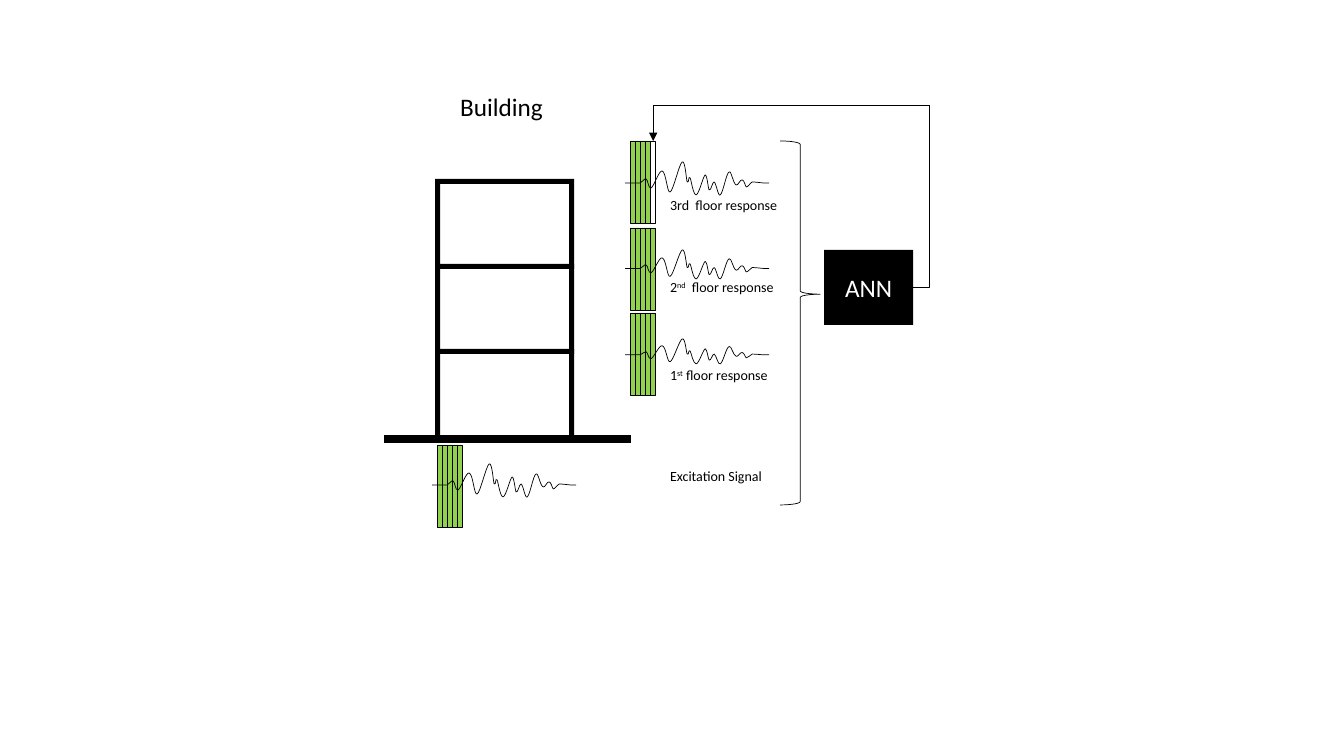
from dataclasses import dataclass
from itertools import product

from lxml.etree import SubElement
from pptx import Presentation
from pptx.dml.color import RGBColor
from pptx.enum.dml import MSO_LINE_DASH_STYLE as Dash
from pptx.enum.shapes import MSO_CONNECTOR as Connector, MSO_SHAPE as Preset
from pptx.enum.text import MSO_ANCHOR as Anchor, MSO_AUTO_SIZE as AutoSize, PP_ALIGN as Align
from pptx.oxml.ns import qn
from pptx.util import Inches, Pt

BLACK = RGBColor(0x00, 0x00, 0x00)
WHITE = RGBColor(0xFF, 0xFF, 0xFF)
GREEN = RGBColor(0x92, 0xD0, 0x50)
FONT = "Calibri"
EMU_PER_PIXEL = 914400 / 100.8

CELL_COUNT, CELL_WIDTH, CELL_HEIGHT = 5, 5, 82
FRAME_LEFT, FRAME_TOP, FRAME_WIDTH = 435, 179, 139
STOREY_HEIGHT, STOREY_COUNT, MEMBER = 85, 3, 5

# Start point, then three points for each curve, then the end of the tail
WAVE_HEIGHT = 33
WAVE = [
    (0, 21), (5, 21), (11, 21), (15, 21), (18, 20), (19, 16), (21, 17),
    (23, 18), (23, 27), (26, 26), (29, 24), (34, 8), (37, 9),
    (41, 10), (42, 32), (45, 30), (48, 29), (54, 2), (57, 0),
    (60, -2), (61, 17), (62, 20), (64, 22), (63, 13), (65, 16),
    (66, 18), (68, 33), (71, 33), (74, 32), (78, 14), (80, 13),
    (82, 13), (83, 27), (84, 28), (86, 29), (87, 20), (89, 20),
    (91, 21), (93, 35), (95, 33), (98, 31), (101, 11), (104, 10),
    (106, 8), (108, 22), (111, 23), (113, 24), (115, 17), (117, 18),
    (119, 18), (120, 24), (121, 25), (123, 25), (125, 21), (127, 20),
    (130, 20), (138, 21), (138, 21), (144, 21),
]


@dataclass
class Signal:
    strip_left: int
    strip_top: int
    wave_top: int
    wave_height: int
    label: str  # text between carets is superscript
    label_top: int
    filled_cells: int = CELL_COUNT


SIGNALS = [
    Signal(630, 141, 162, 33, "3rd  floor response", 192, filled_cells=4),
    Signal(630, 228, 250, 29, "2^nd^  floor response", 274),
    Signal(630, 313, 339, 25, "1^st^ floor response", 362),
    Signal(437, 445, 464, 33, "Excitation Signal", 463),
]


def px(pixels: float) -> int:
    return round(pixels * EMU_PER_PIXEL)


def write_text(shape, text: str, *, size: int, color: RGBColor = BLACK,
               align: Align = Align.LEFT, anchor: Anchor = Anchor.TOP) -> None:
    frame = shape.text_frame
    frame.word_wrap = True
    frame.auto_size = AutoSize.NONE
    frame.vertical_anchor = anchor
    paragraph = frame.paragraphs[0]
    paragraph.alignment = align
    for index, part in enumerate(text.split("^")):
        run = paragraph.add_run()
        run.text = part
        run.font.name, run.font.size = FONT, Pt(size)
        run.font.color.rgb = color
        if index % 2:
            run.font._element.set("baseline", "30000")


def add_shape(preset: Preset, left: int, top: int, width: int, height: int,
              fill: RGBColor | None = None, line_width: float = 0):
    shape = slide.shapes.add_shape(preset, px(left), px(top), px(width), px(height))
    shape.shadow.inherit = False
    if fill is None:
        shape.fill.background()
    else:
        shape.fill.solid()
        shape.fill.fore_color.rgb = fill
    if line_width:
        shape.line.color.rgb = BLACK
        shape.line.width = Pt(line_width)
    else:
        shape.line.fill.background()
    return shape


def add_label(text: str, left: int, top: int, width: int, height: int, size: int) -> None:
    box = slide.shapes.add_textbox(px(left), px(top), px(width), px(height))
    write_text(box, text, size=size)


def add_line(kind: Connector, start: tuple[int, int], end: tuple[int, int],
             width: float, arrow: bool = False) -> None:
    """Draw a line; an elbow runs all the way across before it turns."""
    line = slide.shapes.add_connector(kind, *map(px, start + end))
    line.line.color.rgb = BLACK
    line.line.width = Pt(width)
    line.line.dash_style = Dash.SOLID
    properties = line._element.spPr
    SubElement(properties, qn("a:effectLst"))
    if kind == Connector.ELBOW:
        guides = properties.find(qn("a:prstGeom")).find(qn("a:avLst"))
        SubElement(guides, qn("a:gd"), name="adj1", fmla="val 100000")
    if arrow:
        SubElement(line.line._get_or_add_ln(), qn("a:tailEnd"), type="triangle")


def add_wave(left: int, top: int, height: int) -> None:
    points = [(px(left + x), px(top + y * height / WAVE_HEIGHT)) for x, y in WAVE]
    builder = slide.shapes.build_freeform(*points[0])
    builder.add_line_segments(points[1:], close=False)
    wave = builder.convert_to_shape()
    wave.shadow.inherit = False
    wave.fill.background()
    wave.line.color.rgb = BLACK
    wave.line.width = Pt(0.5)
    # Join each three straight segments into one Bezier curve
    segments = list(wave._element.iter(qn("a:lnTo")))
    for first in range(0, len(segments) - 2, 3):
        curve = segments[first].makeelement(qn("a:cubicBezTo"))
        segments[first].addprevious(curve)
        for segment in segments[first:first + 3]:
            curve.append(segment[0])
            segment.getparent().remove(segment)


def add_strip(signal: Signal) -> None:
    for cell in range(CELL_COUNT):
        fill = GREEN if cell < signal.filled_cells else None
        add_shape(Preset.RECTANGLE, signal.strip_left + cell * CELL_WIDTH,
                  signal.strip_top, CELL_WIDTH, CELL_HEIGHT, fill, 0.25)


presentation = Presentation()
presentation.slide_width, presentation.slide_height = Inches(13.33), Inches(7.5)
slide = presentation.slides.add_slide(presentation.slide_layouts[5])

# Title
title = slide.shapes.title
title.left, title.top, title.width, title.height = map(px, (450, 86, 110, 40))
write_text(title, "Building", size=18)

# Building frame and ground
for storey in range(STOREY_COUNT):
    add_shape(Preset.RECTANGLE, FRAME_LEFT + MEMBER, FRAME_TOP + storey * STOREY_HEIGHT,
              FRAME_WIDTH - 2 * MEMBER, MEMBER, BLACK)
for storey, column in product(range(STOREY_COUNT), range(2)):
    add_shape(Preset.RECTANGLE, FRAME_LEFT + column * (FRAME_WIDTH - MEMBER),
              FRAME_TOP + storey * STOREY_HEIGHT, MEMBER, STOREY_HEIGHT + MEMBER, BLACK)
add_line(Connector.STRAIGHT, (384, 439), (631, 439), 6)

# Floor responses and excitation
for signal in SIGNALS:
    add_strip(signal)
    add_wave(signal.strip_left - 5, signal.wave_top, signal.wave_height)
    add_label(signal.label, 660, signal.label_top, 153, 27, 10)

# Brace and network
brace = add_shape(Preset.RIGHT_BRACE, 780, 141, 40, 364, line_width=0.5)
brace.adjustments[0], brace.adjustments[1] = 0.083, 0.421
network = add_shape(Preset.RECTANGLE, 824, 250, 89, 75, BLACK)
write_text(network, "ANN", size=18, color=WHITE, align=Align.CENTER, anchor=Anchor.MIDDLE)

# Feedback to the third floor
add_line(Connector.ELBOW, (913, 287), (929, 105), 0.5)
add_line(Connector.ELBOW, (929, 105), (653, 141), 0.5, arrow=True)

presentation.save("out.pptx")
